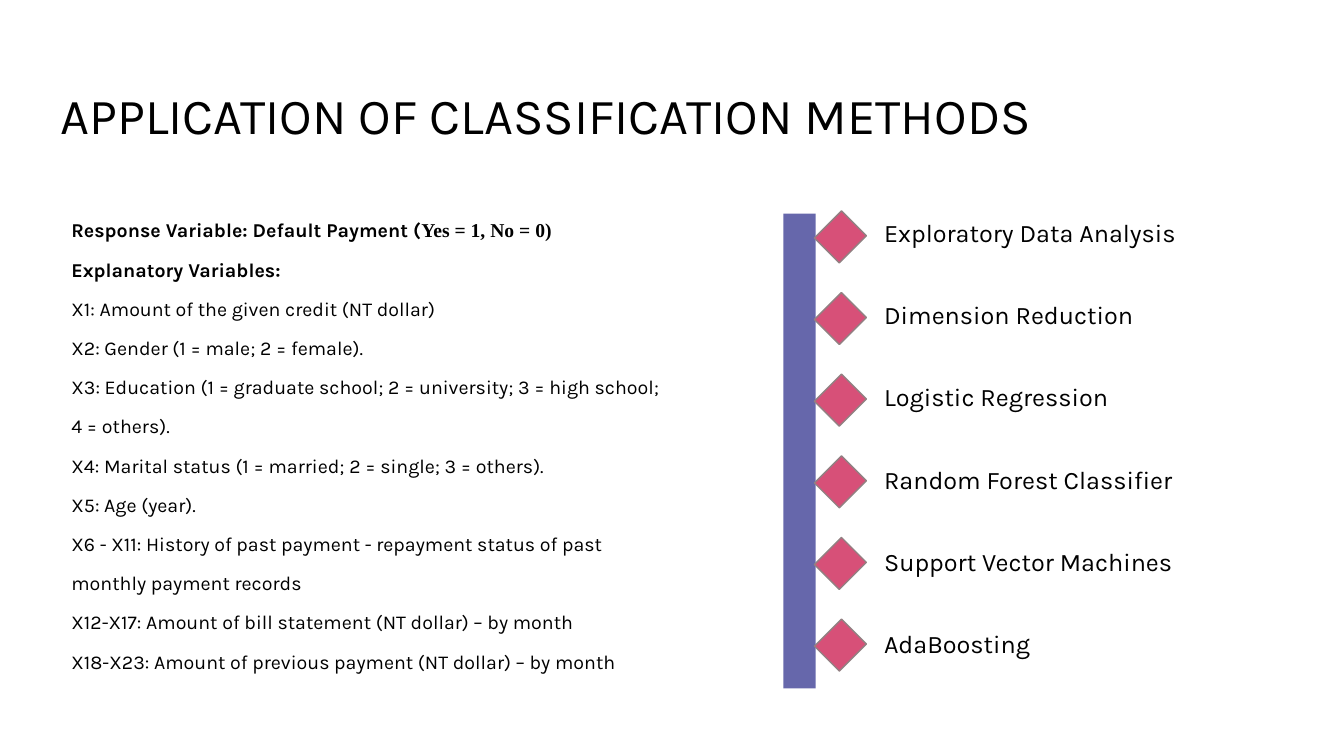
from pptx import Presentation
from pptx.dml.color import RGBColor
from pptx.enum import shapes, text
from pptx.util import Inches, Pt

# Content
TITLE = "APPLICATION OF CLASSIFICATION METHODS"
RESPONSE = ("Response Variable: Default Payment (", "Yes = 1, No = 0)")
HEADING = "Explanatory Variables:"
VARIABLES = [
    "X1: Amount of the given credit (NT dollar)",
    "X2: Gender (1 = male; 2 = female).",
    "X3: Education (1 = graduate school; 2 = university; 3 = high school; 4 = others).",
    "X4: Marital status (1 = married; 2 = single; 3 = others).",
    "X5: Age (year).",
    "X6 - X11: History of past payment - repayment status of past monthly payment records",
    "X12-X17: Amount of bill statement (NT dollar) – by month",
    "X18-X23: Amount of previous payment (NT dollar) – by month",
]
METHODS = [
    "Exploratory Data Analysis", "Dimension Reduction", "Logistic Regression",
    "Random Forest Classifier", "Support Vector Machines", "AdaBoosting",
]

# Style and grid, in inches
COLORS = {"ink": "000000", "bar": "6667AB", "marker": "D75078", "edge": "928082",
          "page": "FFFFFF"}
FONT, SERIF = "Karla", "Times New Roman"
LABEL_TOP, LABEL_BOTTOM = 2.01, 6.09
MARKER_TOP, MARKER_STEP = 2.16, 0.81
LABEL_STEP = (LABEL_BOTTOM - LABEL_TOP) / (len(METHODS) - 1)


def color(name):
    return RGBColor.from_string(COLORS[name])


def set_font(font, size, bold=False):
    font.name, font.size, font.bold = FONT, Pt(size), bold
    font.color.rgb = color("ink")


def add_block(left, top, width, height, fill=None, edge=None):
    block = page.shapes.add_shape(shapes.MSO_SHAPE.RECTANGLE,
                                  *map(Inches, (left, top, width, height)))
    block.shadow.inherit = False
    if fill:
        block.fill.solid()
        block.fill.fore_color.rgb = color(fill)
    else:
        block.fill.background()
    if edge:
        block.line.color.rgb = color(edge)
        block.line.width = Pt(1)
    else:
        block.line.fill.background()
    return block


deck = Presentation()
deck.slide_width, deck.slide_height = Inches(13.33), Inches(7.5)
page = deck.slides.add_slide(deck.slide_layouts[5])
page.background.fill.solid()
page.background.fill.fore_color.rgb = color("page")

# Title
title = page.shapes.title
title.left, title.top, title.width, title.height = map(Inches, (0.5, 0.68, 12.22, 0.99))
title.text_frame.text = TITLE
title.text_frame.vertical_anchor = text.MSO_ANCHOR.MIDDLE
para = title.text_frame.paragraphs[0]
para.alignment = text.PP_ALIGN.LEFT
para.line_spacing = 0.9
set_font(para.font, 36)

# Variables
frame = page.shapes.add_textbox(*map(Inches, (0.61, 1.96, 6.06, 4.59))).text_frame
frame.word_wrap = True
frame.text = "\n".join([RESPONSE[0], HEADING, *VARIABLES])
for index, para in enumerate(frame.paragraphs):
    para.line_spacing = Pt(28)
    set_font(para.font, 14, bold=index < 2)
span = frame.paragraphs[0].add_run()
span.text = RESPONSE[1]
set_font(span.font, 14, bold=True)
span.font.name = SERIF

# Method labels
for row, method in enumerate(METHODS):
    label = add_block(8.67, LABEL_TOP + row * LABEL_STEP, 3.84, 0.59, edge="page")
    label.text_frame.text = method
    label.text_frame.vertical_anchor = text.MSO_ANCHOR.MIDDLE
    para = label.text_frame.paragraphs[0]
    para.alignment = text.PP_ALIGN.LEFT
    set_font(para.font, 18)

# Bar and its markers
add_block(7.77, 2.12, 0.32, 4.71, fill="bar")
for row in range(len(METHODS)):
    marker = add_block(8.16, MARKER_TOP + row * MARKER_STEP, 0.35, 0.38, "marker", "edge")
    marker.rotation = 45

deck.save("out.pptx")
